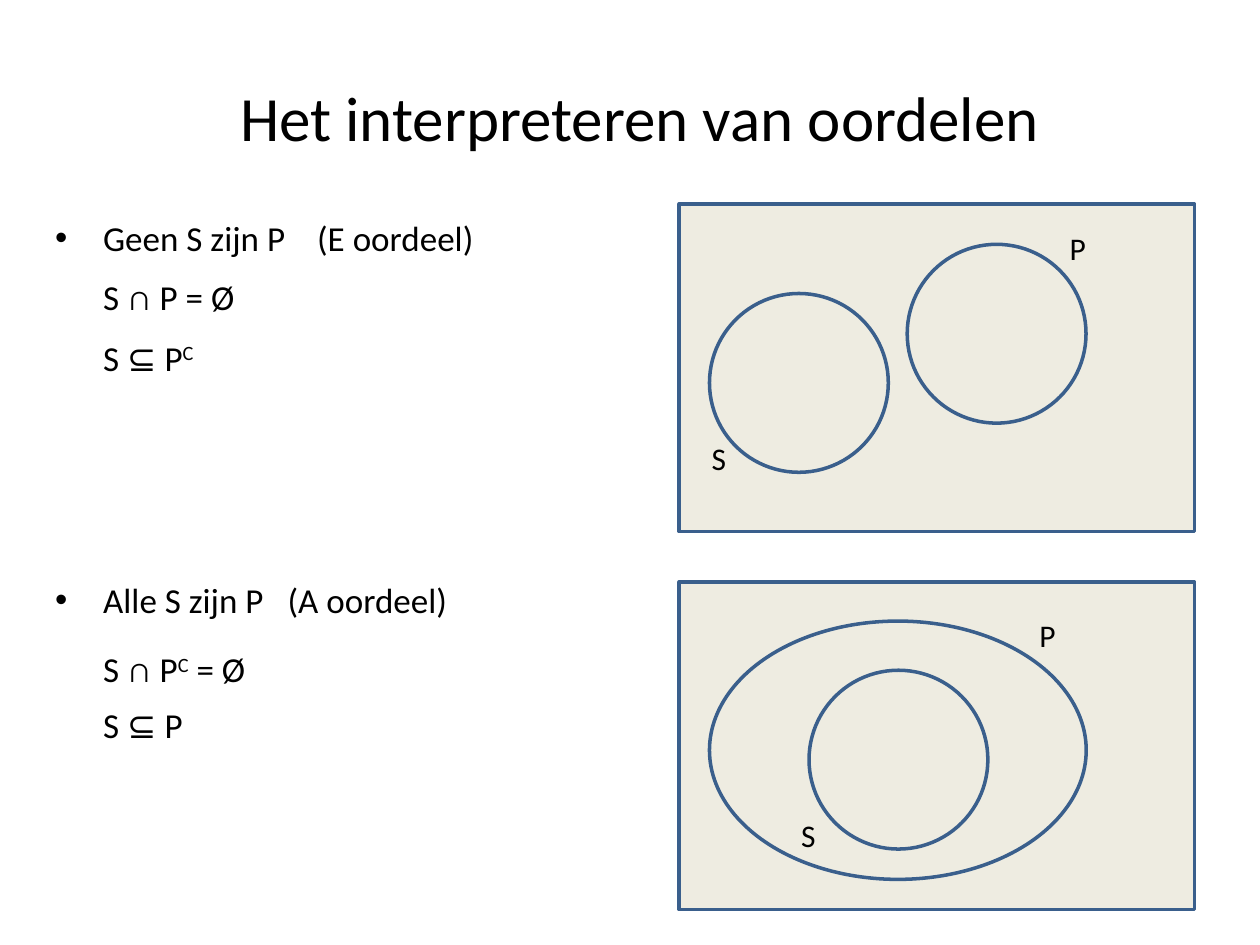
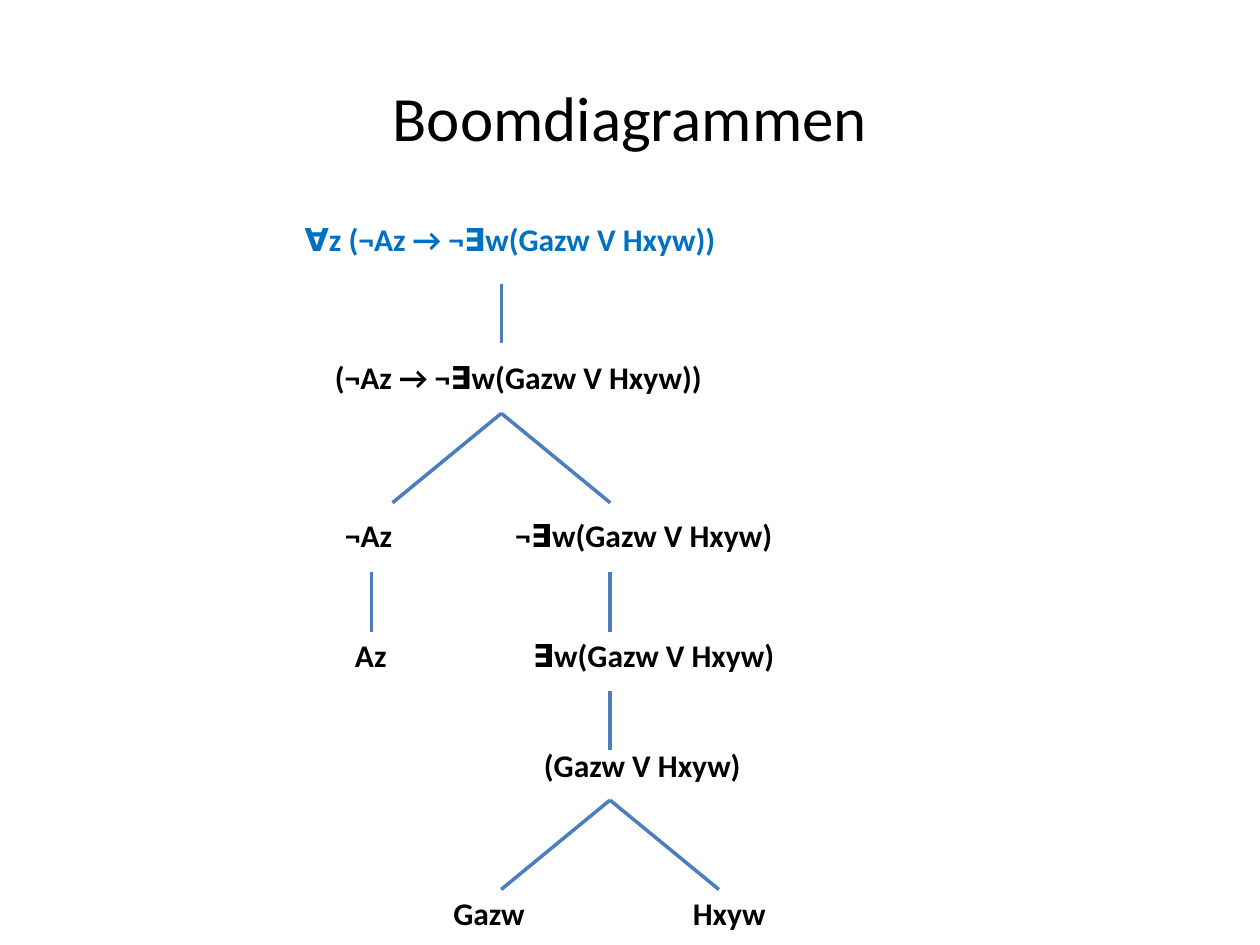
from lxml.etree import SubElement
from pptx import Presentation
from pptx.dml.color import RGBColor
from pptx.enum.shapes import MSO_CONNECTOR, MSO_SHAPE
from pptx.enum.text import MSO_ANCHOR, PP_ALIGN
from pptx.oxml.ns import qn
from pptx.util import Pt

HUE = {"ink": "000000", "edge": "3A5F8C", "sand": "EEECE1", "line": "4B7EBC", "root": "0070C0"}
FONT = "Calibri"
DISC = 102.2
STEM = 34
SPREAD, DROP = 62.2, 51.1
SUP = {"baseline": 30000}


def tint(name):
    """Return the named colour."""
    return RGBColor.from_string(HUE[name])


def text(slide, parts, left, top, width, height=28.8, size=18, color="ink", bold=False,
         align=PP_ALIGN.LEFT, anchor=MSO_ANCHOR.TOP, indent=0, bullet=False, before=0):
    """Add a text box whose parts are strings or (string, run attributes) pairs."""
    box = slide.shapes.add_textbox(Pt(left), Pt(top), Pt(width), Pt(height))
    frame = box.text_frame
    frame.word_wrap = True
    frame.vertical_anchor = anchor
    para = frame.paragraphs[0]
    para.alignment = align
    para.space_before = Pt(before)
    props = para._p.get_or_add_pPr()
    props.set("marL", str(Pt(indent)))
    props.set("indent", str(Pt(-indent if bullet else 0)))
    if bullet:
        SubElement(props, qn("a:buFont")).set("typeface", "Arial")
        SubElement(props, qn("a:buChar")).set("char", "•")
    for part in [parts] if isinstance(parts, str) else parts:
        words, extra = (part, {}) if isinstance(part, str) else part
        run = para.add_run()
        run.text = words
        font = run.font
        font.name, font.size, font.bold = FONT, Pt(size), bold
        font.color.rgb = tint(color)
        for key, value in extra.items():
            run._r.get_or_add_rPr().set(key, str(value))


def title(slide, words, width=648):
    """Add the slide title."""
    text(slide, words, 36, 21.6, width, 90, size=36, align=PP_ALIGN.CENTER,
         anchor=MSO_ANCHOR.MIDDLE)


def shape(slide, kind, left, top, width, height, fill=None):
    """Add an outlined shape, filled only if a colour is named."""
    item = slide.shapes.add_shape(kind, Pt(left), Pt(top), Pt(width), Pt(height))
    item.shadow.inherit = False
    item.line.color.rgb = tint("edge")
    item.line.width = Pt(2)
    if fill:
        item.fill.solid()
        item.fill.fore_color.rgb = tint(fill)
    else:
        item.fill.background()


def venn(slide, top, sets, names):
    """Draw a frame with sets and names placed relative to its corner."""
    left = 388.1
    shape(slide, MSO_SHAPE.RECTANGLE, left, top, 294.5, 187.2, fill="sand")
    for x, y, width, height in sets:
        shape(slide, MSO_SHAPE.OVAL, left + x, top + y, width, height)
    for name, x, y in names:
        text(slide, name, left + x, top + y, 45.4)


def claim(slide, words, kind, gap, top):
    """Add a bulleted judgement, its kind set off by a wide space."""
    text(slide, [words, (" ", {"spc": gap}), kind], 24.5, top, 352, 36, size=20,
         indent=27.4, bullet=True, before=4)


def rule(slide, parts, top):
    """Add a formula indented below a judgement."""
    text(slide, parts, 24.5, top, 352, 36, size=20, indent=27.4, before=4)


def line(slide, x, y, dx, dy):
    """Draw a branch from a point by an offset."""
    item = slide.shapes.add_connector(MSO_CONNECTOR.STRAIGHT, Pt(x), Pt(y), Pt(x + dx), Pt(y + dy))
    item.line.color.rgb = tint("line")
    item.line.width = Pt(2)
    SubElement(item._element.spPr, qn("a:effectLst"))


def judge(slide):
    """Fill the slide on reading judgements."""
    title(slide, "Het interpreteren van oordelen", 659)
    claim(slide, "Geen S zijn P", "(E oordeel)", 1360, 120.2)
    rule(slide, "S ∩ P = Ø", 154.1)
    rule(slide, ["S ⊆ P", ("C", SUP)], 188.6)
    venn(slide, 116.6, [(17.3, 51.1, DISC, DISC), (130.3, 23, DISC, DISC)],
         [("S", 11.5, 131), ("P", 216, 10.8)])
    claim(slide, "Alle S zijn P", "(A oordeel)", 905, 326.9)
    rule(slide, ["S ∩ P", ("C", SUP), " = Ø"], 366.5)
    rule(slide, "S ⊆ P", 398.2)
    venn(slide, 332.6, [(74.2, 50.4, DISC, DISC), (17.3, 22.3, 215.3, 147.6)],
         [("S", 62.6, 130.3), ("P", 198.7, 15.8)])


def tree(slide):
    """Fill the slide with the parse tree."""
    title(slide, "Boomdiagrammen")
    text(slide, "∀z (¬Az → ¬∃w(Gazw V Hxyw))", 167, 122.4, 323, color="root", bold=True)
    nodes = [
        ("(¬Az → ¬∃w(Gazw V Hxyw))", 184.3, 200.9, 323),
        ("¬Az", 190, 291.6, 45.4),
        ("¬∃w(Gazw V Hxyw)", 287.3, 291.6, 175),
        ("Az", 195.8, 360, 45.4),
        ("∃w(Gazw V Hxyw)", 297.4, 360, 175),
        ("(Gazw V Hxyw)", 303.8, 422.6, 175),
        ("Gazw", 252, 507.6, 57),
        ("Hxyw", 388.8, 507.6, 62),
    ]
    for words, left, top, width in nodes:
        text(slide, words, left, top, width, bold=True)
    for x, y in [(286.5, 162.2), (212.4, 326.9), (348.6, 326.9), (348.6, 394.6)]:
        line(slide, x, y, 0, STEM)
    for x, y in [(286.5, 236.2), (348.6, 457.2)]:
        for side in (-1, 1):
            line(slide, x, y, side * SPREAD, DROP)


def main():
    """Build and save both slides."""
    deck = Presentation()
    deck.slide_width, deck.slide_height = Pt(720), Pt(540)
    for build in (judge, tree):
        build(deck.slides.add_slide(deck.slide_layouts[6]))
    deck.save("out.pptx")


if __name__ == "__main__":
    main()
